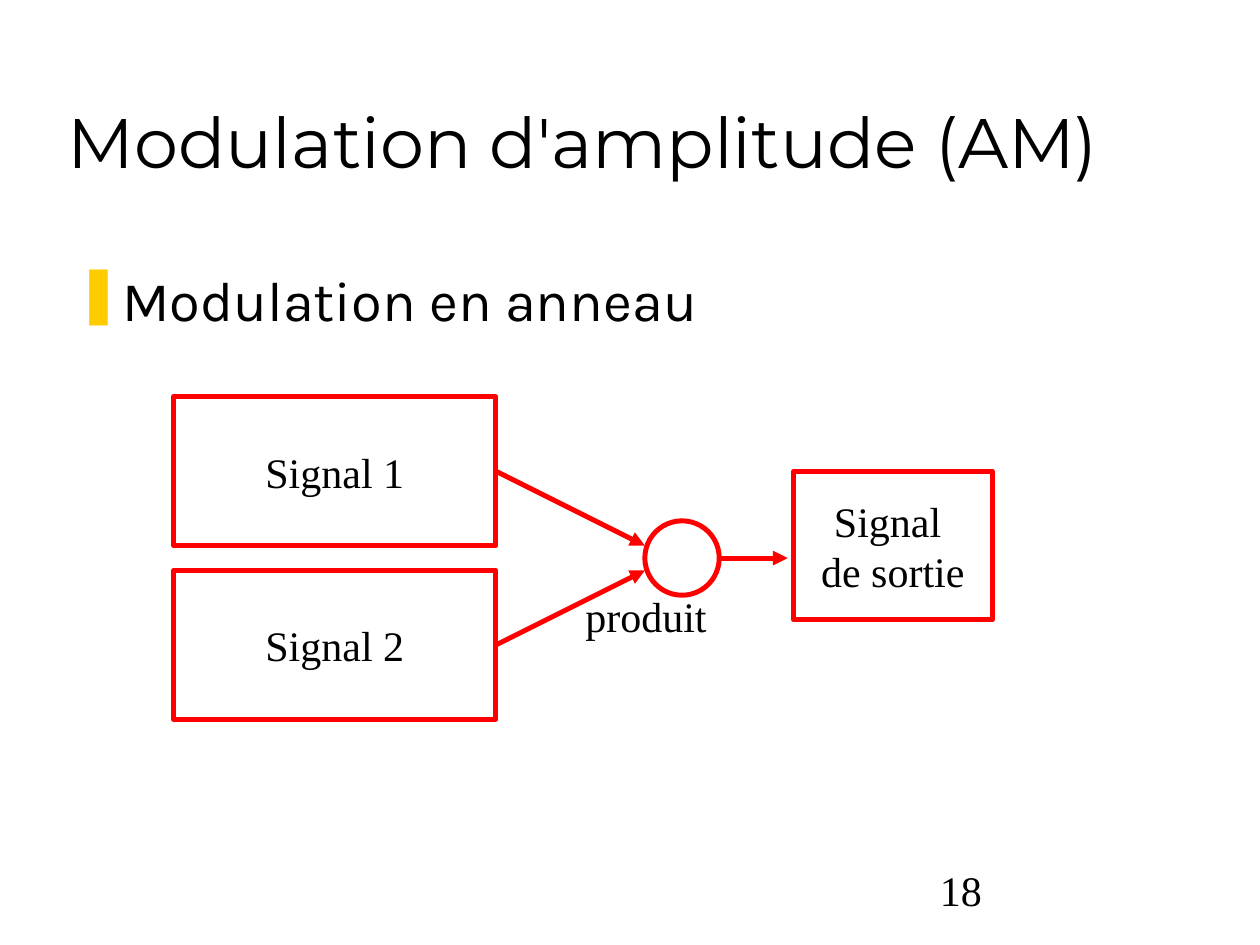
from dataclasses import dataclass

from lxml import etree
from pptx import Presentation
from pptx import util as u
from pptx.dml.color import RGBColor
from pptx.enum import shapes, text
from pptx.oxml import ns


@dataclass(frozen=True)
class Theme:
    ink: RGBColor = RGBColor(0, 0, 0)
    accent: RGBColor = RGBColor(255, 0, 0)
    bullet: str = "FFCC00"
    title_font: str = "Montserrat"
    body_font: str = "Karla"
    label_font: str = "Times New Roman"
    title_size: int = 40
    body_size: int = 32
    label_size: int = 24
    line_width: float = 2.83


THEME = Theme()
NARROW_INSETS = (0.25, 0.13)
WIDE_INSETS = (0.3, 0.18)


def set_values(target, values):
    for name, value in values.items():
        setattr(target, name, value)


def add_child(parent, tag, **attributes):
    return etree.SubElement(parent, ns.qn(tag), attributes)


def write_text(shape, words, font=THEME.label_font, size=THEME.label_size,
               insets=NARROW_INSETS, anchor=text.MSO_ANCHOR.MIDDLE,
               align=text.PP_ALIGN.LEFT, wrap=True):
    side, end = map(u.Cm, insets)
    frame = shape.text_frame
    set_values(frame, {
        "margin_left": side, "margin_right": side,
        "margin_top": end, "margin_bottom": end,
        "vertical_anchor": anchor, "word_wrap": wrap,
    })
    paragraph = frame.paragraphs[0]
    set_values(paragraph, {"text": words, "alignment": align})
    for run in paragraph.runs:
        set_values(run.font, {"name": font, "size": u.Pt(size)})
        run.font.color.rgb = THEME.ink
    return paragraph


def add_text(slide, bounds, words, **formats):
    box = slide.shapes.add_textbox(*map(u.Cm, bounds))
    return write_text(box, words, **formats)


def add_bullet(paragraph, symbol, indent):
    paragraph.space_before = u.Pt(8)
    properties = paragraph._p.get_or_add_pPr()
    properties.set("marL", str(u.Cm(indent)))
    properties.set("indent", str(-u.Cm(indent)))
    colour = add_child(properties, "a:buClr")
    add_child(colour, "a:srgbClr", val=THEME.bullet)
    add_child(properties, "a:buChar", char=symbol)


def outline(shape):
    shape.line.color.rgb = THEME.accent
    shape.line.width = u.Pt(THEME.line_width)


def add_outlined(slide, kind, bounds):
    shape = slide.shapes.add_shape(kind, *map(u.Cm, bounds))
    shape.shadow.inherit = False
    shape.fill.background()
    outline(shape)
    return shape


def add_block(slide, bounds, words):
    block = add_outlined(slide, shapes.MSO_SHAPE.RECTANGLE, bounds)
    write_text(block, words, insets=WIDE_INSETS,
               align=text.PP_ALIGN.CENTER, wrap=False)
    return block


def add_arrow(slide, start, end, source=None):
    arrow = slide.shapes.add_connector(
        shapes.MSO_CONNECTOR.STRAIGHT, *map(u.Cm, (*start, *end)))
    if source is not None:
        arrow.begin_connect(source, 3)
    outline(arrow)
    add_child(arrow.line._get_or_add_ln(), "a:tailEnd", type="triangle")
    add_child(arrow._element.spPr, "a:effectLst")


def main():
    presentation = Presentation()
    set_values(presentation, {
        "slide_width": u.Cm(25.4), "slide_height": u.Cm(19.05)})
    slide = presentation.slides.add_slide(presentation.slide_layouts[6])

    bottom = text.MSO_ANCHOR.BOTTOM
    add_text(slide, (1.12, 0.15, 23.37, 3.66), "Modulation d'amplitude (AM)",
             font=THEME.title_font, size=THEME.title_size, anchor=bottom)
    topic = add_text(slide, (1.27, 5.23, 22.7, 11.58), "Modulation en anneau",
                     font=THEME.body_font, size=THEME.body_size,
                     anchor=text.MSO_ANCHOR.TOP)
    add_bullet(topic, "❚", 0.94)

    inputs = (("Signal 1", 8, 11), ("Signal 2", 11.5, 11.5))
    for words, top, arrow_end in inputs:
        block = add_block(slide, (3.5, top, 6.5, 3), words)
        add_arrow(slide, (10, top + 1.5), (13, arrow_end), block)

    add_outlined(slide, shapes.MSO_SHAPE.OVAL, (13, 10.5, 1.5, 1.5))
    add_arrow(slide, (14.5, 11.25), (15.88, 11.25))
    add_block(slide, (16, 9.5, 4, 3), "Signal \vde sortie")
    add_text(slide, (11.5, 11.73, 3.05, 1.37), "produit",
             insets=WIDE_INSETS, anchor=bottom, wrap=False)
    add_text(slide, (18.7, 17.3, 5.28, 1.27), "18", anchor=bottom)

    presentation.save("out.pptx")


if __name__ == "__main__":
    main()
